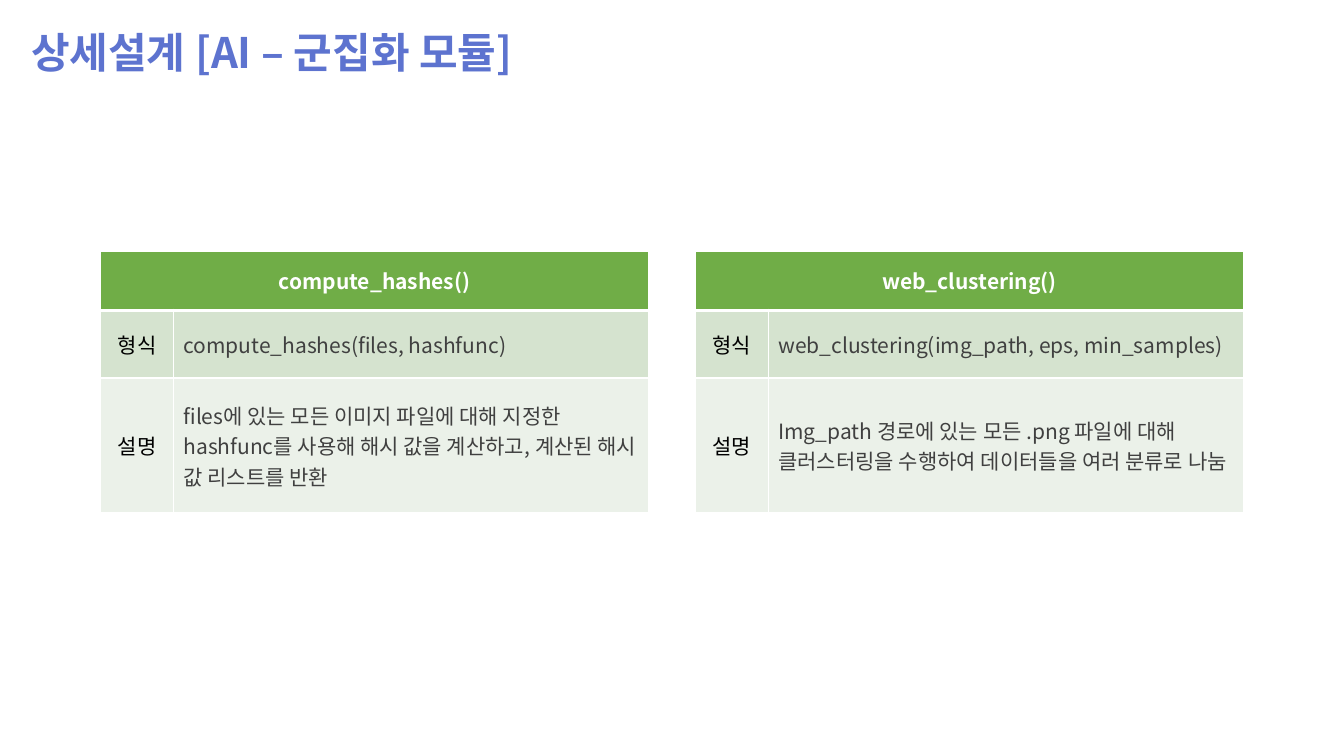
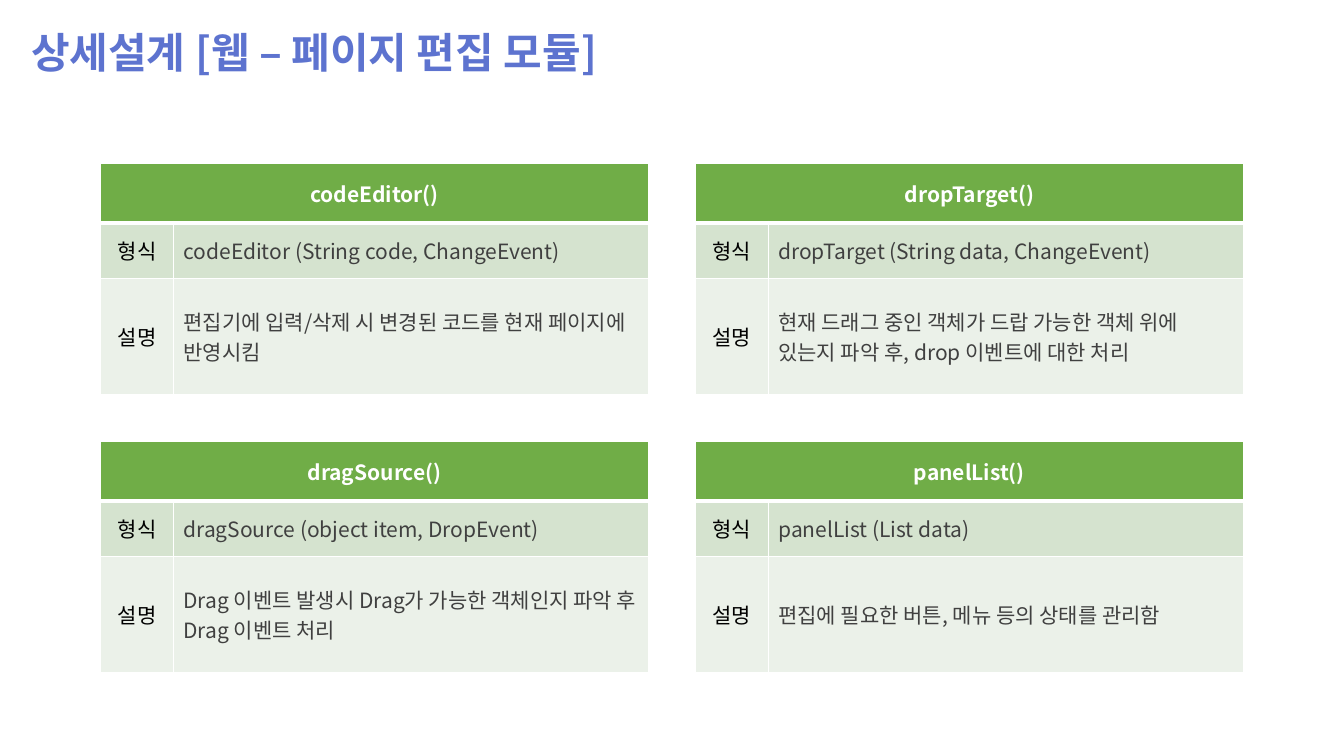
"""Build two slides of function tables for a detailed design deck."""
from dataclasses import dataclass

from pptx import Presentation
from pptx.dml.color import RGBColor as Rgb
from pptx.enum.text import MSO_ANCHOR as Anchor
from pptx.enum.text import MSO_AUTO_SIZE as Fit
from pptx.enum.text import PP_ALIGN as Align
from pptx.oxml.ns import qn
from pptx.util import Inches, Pt
from lxml.etree import SubElement as Sub


@dataclass(frozen=True)
class Theme:
    """Hold the colours, font and type sizes."""
    font: str = "Noto Sans CJK KR"
    title: str = "5D73CF"
    head: str = "70AD47"
    form: str = "D5E3CF"
    note: str = "EBF1E9"
    white: str = "FFFFFF"
    black: str = "000000"
    body: str = "404040"
    big: int = 30
    small: int = 15
    thin: int = 1
    thick: int = 3


class Deck:
    """Draw the elements of each slide in one style."""

    def __init__(self):
        """Start an empty wide deck."""
        self.look = Theme()
        self.show = Presentation()
        self.show.slide_width = Inches(13.33)
        self.show.slide_height = Inches(7.5)
        self.slide = None

    def page(self):
        """Add a blank slide and make it current."""
        self.slide = self.show.slides.add_slide(self.show.slide_layouts[6])

    def label(self, frame, text, size, color, bold=False, align=Align.LEFT):
        """Set the text of a frame and format its run."""
        frame.text = text
        line = frame.paragraphs[0]
        line.alignment = align
        font = line.runs[0].font
        font.size = Pt(size)
        font.bold = bold
        font.name = self.look.font
        font.color.rgb = Rgb.from_string(color)
        props = line.runs[0]._r.get_or_add_rPr()
        Sub(props, qn("a:ea")).set("typeface", self.look.font)

    def title(self, text, width):
        """Add the slide title."""
        box = self.slide.shapes.add_textbox(
            Inches(0.21), Inches(0.21), Inches(width), Inches(0.61))
        frame = box.text_frame
        frame.word_wrap = True
        frame.auto_size = Fit.SHAPE_TO_FIT_TEXT
        self.label(frame, text, self.look.big, self.look.title, True)

    def paint(self, cell, fill, top, low):
        """Give a cell its white borders and its fill."""
        props = cell._tc.get_or_add_tcPr()
        thin = self.look.thin
        for side, width in (("L", thin), ("R", thin), ("T", top), ("B", low)):
            edge = Sub(props, qn(f"a:ln{side}"), w=str(Pt(width)))
            ink = Sub(edge, qn("a:solidFill"))
            Sub(ink, qn("a:srgbClr"), val=self.look.white)
        cell.fill.solid()
        cell.fill.fore_color.rgb = Rgb.from_string(fill)
        cell.vertical_anchor = Anchor.MIDDLE

    def table(self, left, top, rows, name, form, note):
        """Add the table of one function."""
        look = self.look
        cols = (0.72, 4.71)
        grid = self.slide.shapes.add_table(
            3, 2, Inches(left), Inches(top),
            Inches(sum(cols)), Inches(sum(rows))).table
        for col, width in zip(grid.columns, cols):
            col.width = Inches(width)
        for row, height in zip(grid.rows, rows):
            row.height = Inches(height)
        bands = ((look.head, look.thin, look.thick),
                 (look.form, look.thick, look.thin),
                 (look.note, look.thin, look.thin))
        for row, band in zip(grid.rows, bands):
            for cell in row.cells:
                self.paint(cell, *band)
        head = grid.cell(0, 0)
        head.merge(grid.cell(0, 1))
        self.label(head.text_frame, name, look.small, look.white, True,
                   Align.CENTER)
        for num, (word, text) in enumerate(
                (("형식", form), ("설명", note)), 1):
            self.label(grid.cell(num, 0).text_frame, word, look.small,
                       look.black, align=Align.CENTER)
            self.label(grid.cell(num, 1).text_frame, text, look.small,
                       look.body)

    def tables(self, top, rows, items):
        """Lay out function tables in two columns."""
        for num, item in enumerate(items):
            row, col = divmod(num, 2)
            self.table(1 + 5.9 * col, top + 2.76 * row, rows, *item)


def main():
    """Build and save the deck."""
    deck = Deck()

    deck.page()
    deck.tables(2.49, (0.59, 0.67, 1.34), (
        ("compute_hashes()", "compute_hashes(files, hashfunc)",
         "files에 있는 모든 이미지 파일에 대해 지정한 hashfunc를 사용해 "
         "해시 값을 계산하고, 계산된 해시 값 리스트를 반환"),
        ("web_clustering()", "web_clustering(img_path, eps, min_samples)",
         "Img_path 경로에 있는 모든 .png 파일에 대해 클러스터링을 "
         "수행하여 데이터들을 여러 분류로 나눔"),
    ))
    deck.title("상세설계 [AI – 군집화 모듈]", 7.17)

    deck.page()
    deck.tables(1.62, (0.59, 0.55, 1.15), (
        ("codeEditor()", "codeEditor (String code, ChangeEvent)",
         "편집기에 입력/삭제 시 변경된 코드를 현재 페이지에 반영시킴"),
        ("dropTarget()", "dropTarget (String data, ChangeEvent)",
         "현재 드래그 중인 객체가 드랍 가능한 객체 위에 있는지 파악 후, "
         "drop 이벤트에 대한 처리"),
        ("dragSource()", "dragSource (object item, DropEvent)",
         "Drag 이벤트 발생시 Drag가 가능한 객체인지 파악 후 "
         "Drag 이벤트 처리"),
        ("panelList()", "panelList (List data)",
         "편집에 필요한 버튼, 메뉴 등의 상태를 관리함"),
    ))
    deck.title("상세설계 [웹 – 페이지 편집 모듈]", 7.87)

    deck.show.save("out.pptx")


if __name__ == "__main__":
    main()
